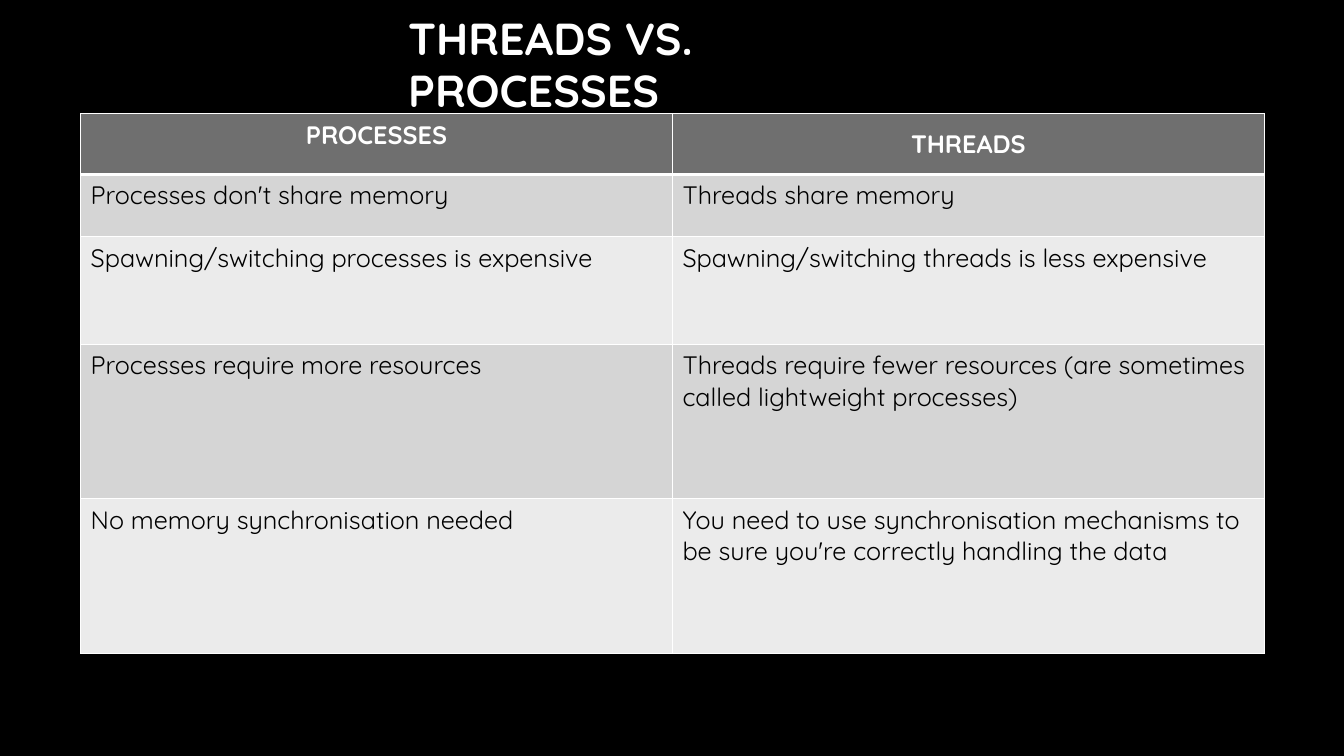
"""Build a slide with a table comparing processes and threads."""
from dataclasses import dataclass

from lxml.etree import SubElement
from pptx import Presentation
from pptx.dml.color import RGBColor
from pptx.enum.text import MSO_ANCHOR, PP_ALIGN
from pptx.oxml.ns import qn
from pptx.slide import Slide
from pptx.table import _Cell
from pptx.text.text import Font, TextFrame
from pptx.util import Inches, Pt

BLACK = RGBColor(0x00, 0x00, 0x00)
WHITE = RGBColor(0xFF, 0xFF, 0xFF)
SILVER = RGBColor(0xA6, 0xA6, 0xA6)
HEADER_GREY = RGBColor(0x6F, 0x6F, 0x6F)
DARK_BAND = RGBColor(0xD5, 0xD5, 0xD5)
LIGHT_BAND = RGBColor(0xEB, 0xEB, 0xEB)
FONT_NAME = "Quicksand"
COLUMN_WIDTH = 5.87


@dataclass(frozen=True)
class Comparison:
    processes: str
    threads: str
    height: float


HEADINGS = Comparison("PROCESSES", "THREADS", 0.6)
COMPARISONS = [
    Comparison("Processes don't share memory", "Threads share memory", 0.62),
    Comparison("Spawning/switching processes is expensive",
               "Spawning/switching threads is less expensive", 1.07),
    Comparison("Processes require more resources",
               "Threads require fewer resources (are sometimes called lightweight processes)", 1.53),
    Comparison("No memory synchronisation needed",
               "You need to use synchronisation mechanisms to be sure you're correctly handling the data", 1.53),
]


def write_text(frame: TextFrame, text: str, *, size: float = 18, color: RGBColor = BLACK,
               bold: bool = False, align: PP_ALIGN = PP_ALIGN.LEFT, spacing: float = 1.0) -> Font:
    frame.word_wrap = True
    paragraph = frame.paragraphs[0]
    paragraph.alignment = align
    paragraph.line_spacing = spacing
    run = paragraph.add_run()
    run.text = text
    run.font.name = FONT_NAME
    run.font.size = Pt(size)
    run.font.bold = bold
    run.font.color.rgb = color
    return run.font


def draw_borders(cell: _Cell, bottom_width: float) -> None:
    properties = cell._tc.get_or_add_tcPr()
    widths = {"a:lnL": 1, "a:lnR": 1, "a:lnT": 1, "a:lnB": bottom_width}
    for position, (side, width) in enumerate(widths.items()):
        line = SubElement(properties, qn(side), w=str(Pt(width)))
        solid = SubElement(line, qn("a:solidFill"))
        SubElement(solid, qn("a:srgbClr"), val=str(WHITE))
        properties.insert(position, line)


def draw_title(slide: Slide) -> None:
    title = slide.shapes.add_textbox(Inches(3.95), Inches(0.2), Inches(5.43), Inches(0.91))
    title.text_frame.vertical_anchor = MSO_ANCHOR.MIDDLE
    font = write_text(title.text_frame, "THREADS VS. PROCESSES", size=32, color=WHITE,
                      bold=True, spacing=0.96)
    font.fill.gradient()
    font.fill.gradient_angle = 267
    for stop, color in zip(font.fill.gradient_stops, (WHITE, SILVER)):
        stop.color.rgb = color


def draw_comparison_table(slide: Slide) -> None:
    rows = [HEADINGS, *COMPARISONS]
    table = slide.shapes.add_table(len(rows), 2, Inches(0.8), Inches(1.13), Inches(2 * COLUMN_WIDTH),
                                   Inches(sum(row.height for row in rows))).table
    for column in table.columns:
        column.width = Inches(COLUMN_WIDTH)
    for index, row in enumerate(rows):
        table.rows[index].height = Inches(row.height)
        is_header = index == 0
        band = HEADER_GREY if is_header else DARK_BAND if index % 2 else LIGHT_BAND
        for cell, text in zip(table.rows[index].cells, (row.processes, row.threads)):
            cell.fill.solid()
            cell.fill.fore_color.rgb = band
            draw_borders(cell, 3 if is_header else 1)
            write_text(cell.text_frame, text, bold=is_header,
                       color=WHITE if is_header else BLACK,
                       align=PP_ALIGN.CENTER if is_header else PP_ALIGN.LEFT)
    table.cell(0, 1).vertical_anchor = MSO_ANCHOR.MIDDLE


def main() -> None:
    deck = Presentation()
    deck.slide_width, deck.slide_height = Inches(13.33), Inches(7.5)
    slide = deck.slides.add_slide(deck.slide_layouts[6])
    slide.background.fill.solid()
    slide.background.fill.fore_color.rgb = BLACK
    draw_title(slide)
    draw_comparison_table(slide)
    deck.save("out.pptx")


if __name__ == "__main__":
    main()
